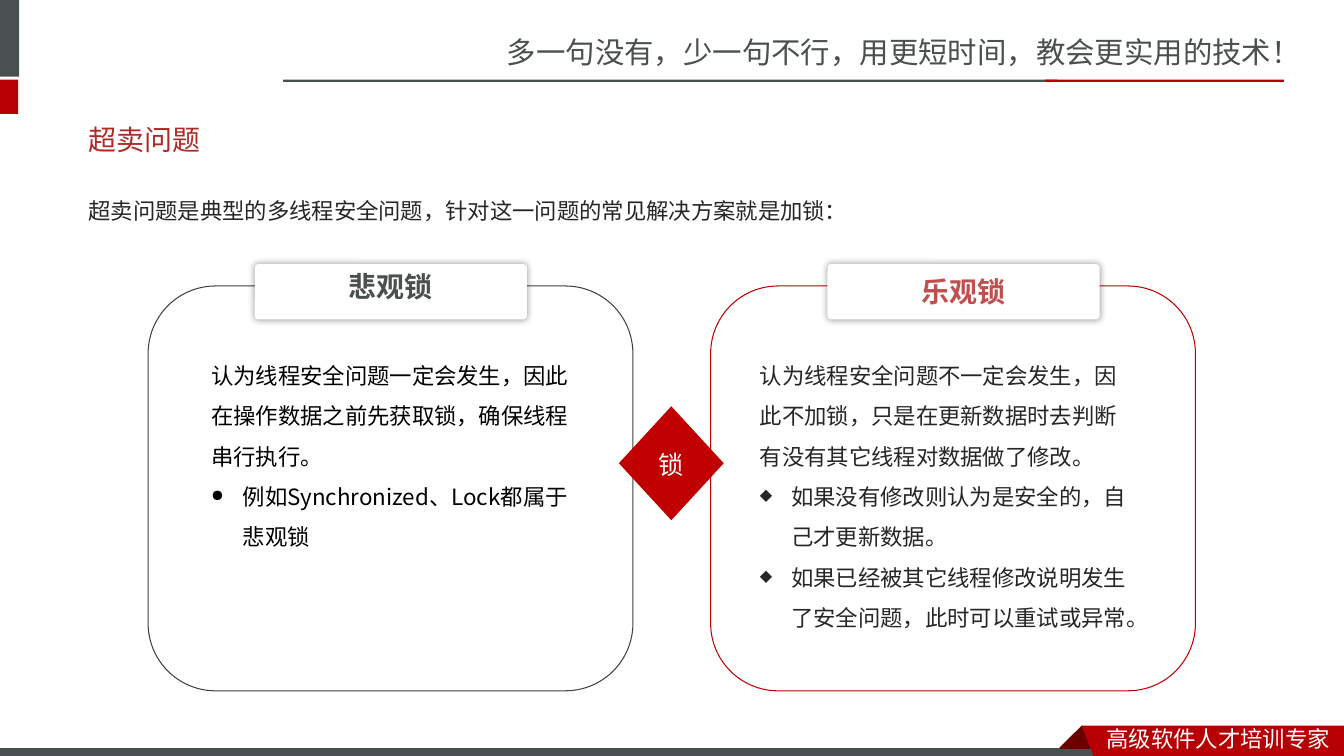
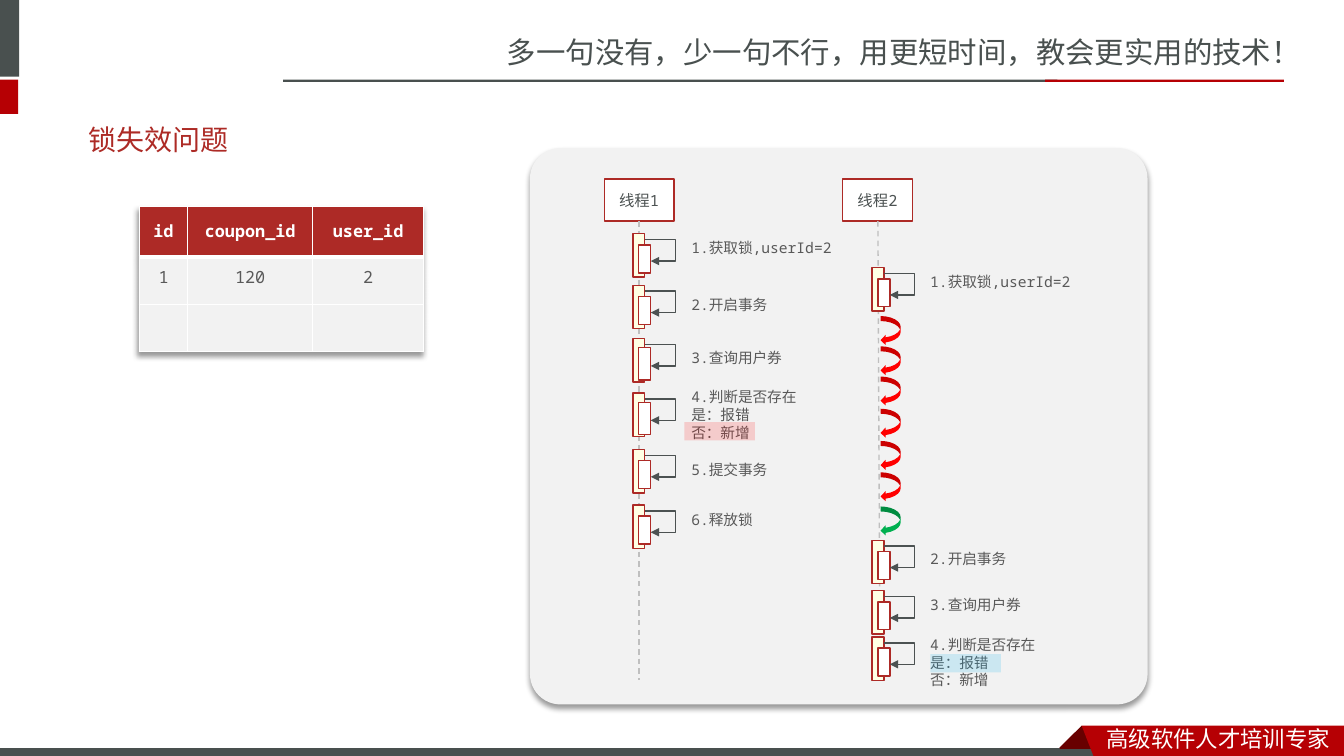
"""Build two slides about overselling and lock failure between threads."""
from dataclasses import dataclass
from itertools import accumulate

from lxml import etree
from pptx import Presentation
from pptx.dml.color import RGBColor
from pptx.enum import dml, shapes, text
from pptx.oxml import ns
from pptx.util import Pt


@dataclass(frozen=True)
class Style:
    """Font, size, colour and weight of one kind of text."""
    font: str
    size: float
    colour: str
    bold: bool = False
    leading: float = 1.2


class Theme:
    """Colours and type styles shared by both slides."""
    white, panel, grey = "FFFFFF", "F2F2F2", "49504F"
    red, dark_red, accent, brick = "B60004", "680000", "C00000", "AD2A26"
    cream, arrow, dashes, outline = "FFFFE4", "4C5252", "BFBFBF", "404040"
    waiting, granted, sky = "FF0000", "00B050", "00B0F0"
    slogan = Style("Noto Sans CJK SC", 21, grey)
    ribbon = Style("Noto Sans CJK SC", 16, white)
    title = Style("Lato", 20, "AD2B26")
    body = Style("Noto Sans CJK JP", 16, "262626", leading=1.8)
    body_black = Style("Noto Sans CJK JP", 16, "000000", leading=1.8)
    plate_grey = Style("Noto Sans CJK JP", 20, grey, True)
    plate_red = Style("Noto Sans CJK JP", 20, "C0504D", True)
    diamond = Style("Noto Sans CJK JP", 18, white, leading=1.28)
    thread = Style("Noto Sans Mono", 11, arrow)
    step = Style("Noto Sans Mono", 10.5, "595959")
    table_head = Style("Noto Sans Mono", 12, white, True, leading=1.28)
    table_cell = Style("Noto Sans Mono", 12, "595959")


SLOGAN = "多一句没有，少一句不行，用更短时间，教会更实用的技术！"
RIBBON = "高级软件人才培训专家"
BARS = [
    (-4.3, 0, 18, 54.7, Theme.grey, None),
    (-4.3, 56.9, 17.3, 24.5, Theme.red, None),
    (202.3, 56.9, 553, 1.6, Theme.grey, None),
    (746.6, 56.9, 170.6, 1.6, Theme.red, None),
    (-0.7, 533.8, 792, 8.6, Theme.grey, (Theme.white, 0.75)),
]
RIBBON_FOLD = [(772.6, 518.4), (788.4, 534.2), (787.7, 535), (757.4, 535), (756.7, 534.2)]
RIBBON_FACE = [(772.6, 518.4), (960, 518.4), (960, 542.9), (781.9, 542.2)]

INTRO = "超卖问题是典型的多线程安全问题，针对这一问题的常见解决方案就是加锁："
CARDS = [
    dict(name="悲观锁", left=105.8, plate=182, plate_inset=3.2, text_left=143.8,
         line=Theme.outline, name_style=Theme.plate_grey, style=Theme.body_black,
         claim="认为线程安全问题一定会发生，因此在操作数据之前先获取锁，确保线程串行执行。",
         bullet="●", points=["例如Synchronized、Lock都属于悲观锁"]),
    dict(name="乐观锁", left=507.6, plate=591.1, plate_inset=6.8, text_left=535.7,
         line=Theme.accent, name_style=Theme.plate_red, style=Theme.body,
         claim="认为线程安全问题不一定会发生，因此不加锁，只是在更新数据时去判断有没有其它线程对数据做了修改。",
         bullet="◆", points=["如果没有修改则认为是安全的，自己才更新数据。",
                            "如果已经被其它线程修改说明发生了安全问题，此时可以重试或异常。"]),
]

COUPON_FIELDS = ("id", "coupon_id", "user_id")
COUPON = ("1", "120", "2")
COUPON_LEFT = 99.5
COLUMN_WIDTHS = (34.6, 89.3, 79.2)
ROW_HEIGHTS = (36, 33.7, 33.7)

LOCK, BEGIN, QUERY = "1.获取锁,userId=2", "2.开启事务", "3.查询用户券"
CHECK = ["4.判断是否存在", "是：报错", "否：新增"]
SHORT, TALL = (8, 20), (6.5, 23)
THREADS = [
    dict(name="线程1", head=431.6, life=(456.5, 456.5), bar=452, label=486.7, label_width=118,
         steps=[(167, 167.2, SHORT, [LOCK]), (203.8, 207.8, SHORT, [BEGIN]),
                (241.9, 245.6, TALL, [QUERY]), (280.8, 273.8, TALL, CHECK),
                (321.1, 325.6, SHORT, ["5.提交事务"]), (360.7, 361.6, SHORT, ["6.释放锁"])]),
    dict(name="线程2", head=601.9, life=(627.1, 628.6), bar=622.8, label=657.4, label_width=158,
         steps=[(191.2, 191.3, SHORT, [LOCK]), (385.9, 389.3, SHORT, [BEGIN]),
                (421.9, 422.1, SHORT, [QUERY]), (455, 450.5, SHORT, CHECK)]),
]
RETRIES = [(229, Theme.waiting), (250.6, Theme.waiting), (272.2, Theme.waiting),
           (295.2, Theme.waiting), (318.2, Theme.waiting), (340.6, Theme.waiting),
           (365, Theme.granted)]
OUTCOMES = [(488.9, 301.5, Theme.waiting), (664.6, 467.3, Theme.sky)]

KIND = shapes.MSO_SHAPE
CENTER, LEFT = text.PP_ALIGN.CENTER, text.PP_ALIGN.LEFT
MIDDLE, TOP = text.MSO_ANCHOR.MIDDLE, text.MSO_ANCHOR.TOP


def points(*values):
    """Turn numbers into point lengths."""
    return [Pt(value) for value in values]


def add_xml(parent, tag, **attributes):
    """Append one DrawingML element."""
    return etree.SubElement(parent, ns.qn("a:" + tag), {k: str(v) for k, v in attributes.items()})


def write(frame, lines, style, align=LEFT, anchor=TOP):
    """Set the lines of a text frame and format their runs."""
    frame.word_wrap = True
    frame.vertical_anchor = anchor
    frame.text = "\n".join(lines)
    for paragraph in frame.paragraphs:
        paragraph.alignment = align
        paragraph.line_spacing = Pt(style.size * style.leading)
        for run in paragraph.runs:
            run.font.size, run.font.bold = Pt(style.size), style.bold
            run.font.color.rgb = RGBColor.from_string(style.colour)
            run.font.name = style.font
            add_xml(run.font._element, "ea", typeface=style.font)


def add_text(slide, box, lines, style, **options):
    """Add a wrapping text box."""
    label = slide.shapes.add_textbox(*points(*box))
    write(label.text_frame, lines, style, **options)
    return label


def paint(shape, fill=None, line=None):
    """Give a shape a flat fill and outline."""
    shape.shadow.inherit = False
    if fill:
        shape.fill.solid()
        shape.fill.fore_color.rgb = RGBColor.from_string(fill)
    else:
        shape.fill.background()
    if line:
        shape.line.color.rgb = RGBColor.from_string(line[0])
        shape.line.width = Pt(line[1])
    else:
        shape.line.fill.background()
    return shape


def add_block(slide, box, fill=None, line=None, kind=KIND.RECTANGLE, corner=None):
    """Add a preset shape."""
    block = slide.shapes.add_shape(kind, *points(*box))
    if corner is not None:
        block.adjustments[0] = corner
    return paint(block, fill, line)


def add_outline(slide, corners, fill):
    """Add a closed polygon."""
    start, *rest = [points(*corner) for corner in corners]
    builder = slide.shapes.build_freeform(*start)
    builder.add_line_segments(rest, close=True)
    return paint(builder.convert_to_shape(), fill)


def cast_shadow(effects, blur, distance, angle):
    """Put a soft black shadow in an effect list."""
    shadow = add_xml(effects, "outerShdw", blurRad=Pt(blur), dist=Pt(distance),
                     dir=angle * 60000, algn="ctr", rotWithShape=0)
    add_xml(add_xml(shadow, "srgbClr", val="000000"), "alpha", val=40000)


def add_line(slide, kind, ends, colour):
    """Add a one-point connector without a shadow."""
    line = slide.shapes.add_connector(kind, *points(*ends))
    line.line.color.rgb = RGBColor.from_string(colour)
    line.line.width = Pt(1)
    add_xml(line.element.spPr, "effectLst")
    return line


def add_self_call(slide, left, top):
    """Add an arrow that leaves to the right and turns back."""
    call = add_line(slide, shapes.MSO_CONNECTOR.ELBOW, (left, top, left + 4, top + 15.3),
                    Theme.arrow)
    properties = call.element.spPr
    add_xml(properties.find(".//" + ns.qn("a:avLst")), "gd", name="adj1", fmla="val 545000")
    add_xml(properties.find(ns.qn("a:ln")), "tailEnd", type="triangle")


def furnish(layout, slide):
    """Move the shared bands, slogan and ribbon onto the layout."""
    for placeholder in list(layout.placeholders)[1:]:
        layout.shapes.element.remove(placeholder.element)
    parts = [add_text(slide, (355, 20.6, 605.5, 33.8), [SLOGAN], Theme.slogan)]
    parts += [add_block(slide, bar[:4], *bar[4:]) for bar in BARS]
    parts.append(add_outline(slide, RIBBON_FOLD, Theme.dark_red))
    parts.append(add_outline(slide, RIBBON_FACE, Theme.red))
    parts.append(add_text(slide, (783.4, 514.4, 177, 26.6), [RIBBON], Theme.ribbon))
    for part in parts:
        layout.shapes.element.append(part.element)


def add_slide(deck, heading):
    """Add a title-only slide with its heading."""
    slide = deck.slides.add_slide(deck.slide_layouts[5])
    title = slide.shapes.title
    title.left, title.top, title.width, title.height = points(56.2, 83.3, 842.4, 31.7)
    write(title.text_frame, [heading], Theme.title, anchor=MIDDLE)
    return slide


def add_card(slide, card):
    """Add one lock card with its name plate and text."""
    add_block(slide, (card["left"], 204.3, 346.3, 289.2), line=(card["line"], 0.75),
              kind=KIND.ROUNDED_RECTANGLE)
    plate = add_block(slide, (card["plate"], 188.6, 194.4, 39.6), Theme.white,
                      kind=KIND.ROUNDED_RECTANGLE, corner=0.07)
    cast_shadow(plate.element.spPr.find(ns.qn("a:effectLst")), 5, 0, 0)
    plate.text_frame.margin_top = Pt(card["plate_inset"])
    write(plate.text_frame, [card["name"]], card["name_style"], align=CENTER)
    story = add_text(slide, (card["text_left"], 245.6, 283.7, 208),
                     [card["claim"], *card["points"]], card["style"])
    for paragraph in story.text_frame.paragraphs[1:]:
        properties = paragraph._p.get_or_add_pPr()
        properties.set("marL", str(Pt(22.5)))
        properties.set("indent", str(-Pt(22.5)))
        add_xml(properties, "buSzPct", val=72000)
        add_xml(properties, "buChar", char=card["bullet"])


def add_coupons(slide):
    """Add the coupon table with its one record laid over it."""
    frame = slide.shapes.add_table(len(ROW_HEIGHTS), len(COLUMN_WIDTHS), *points(
        COUPON_LEFT, 147.6, sum(COLUMN_WIDTHS), sum(ROW_HEIGHTS)))
    coupons = frame.table
    effects = etree.Element(ns.qn("a:effectLst"))
    cast_shadow(effects, 4, 3, 110)
    coupons._tbl.tblPr.insert(0, effects)
    for r, height in enumerate(ROW_HEIGHTS):
        coupons.rows[r].height = Pt(height)
        for c, field in enumerate(COUPON_FIELDS):
            cell = coupons.cell(r, c)
            if r == 0:
                write(cell.text_frame, [field], Theme.table_head, align=CENTER)
                cell.vertical_anchor = MIDDLE
            properties = cell._tc.get_or_add_tcPr()
            for side in ("lnL", "lnR", "lnT", "lnB"):
                heavy = (r, side) in ((0, "lnB"), (1, "lnT"))
                border = add_xml(properties, side, w=Pt(3 if heavy else 1))
                add_xml(add_xml(border, "solidFill"), "srgbClr", val=Theme.white)
            cell.fill.solid()
            cell.fill.fore_color.rgb = RGBColor.from_string(Theme.panel if r else Theme.brick)
    lefts = accumulate(COLUMN_WIDTHS, initial=COUPON_LEFT)
    for column, left, width, value in zip(coupons.columns, lefts, COLUMN_WIDTHS, COUPON):
        column.width = Pt(width)
        add_text(slide, (left, 187.2, width, 21.6), [value], Theme.table_cell, align=CENTER)


def add_thread(slide, thread):
    """Add one lifeline with its activations and step labels."""
    edge = (Theme.brick, 1)
    head = add_block(slide, (thread["head"], 127.9, 49.9, 30), Theme.white, edge)
    write(head.text_frame, [thread["name"]], Theme.thread, align=CENTER, anchor=MIDDLE)
    start, end = thread["life"]
    life = add_line(slide, shapes.MSO_CONNECTOR.STRAIGHT, (start, 158, end, 486), Theme.dashes)
    life.line.dash_style = dml.MSO_LINE.DASH
    bar = thread["bar"]
    for top, label_top, (drop, height), lines in thread["steps"]:
        add_block(slide, (bar, top, 8.6, 31), Theme.cream, edge)
        add_block(slide, (bar + 4.3, top + drop, 8.6, height), Theme.white, edge)
        add_self_call(slide, bar + 8.8, top + 4.2)
        add_text(slide, (thread["label"], label_top, thread["label_width"], 7.2 + 13 * len(lines)),
                 lines, Theme.step)


def main():
    """Build and save the deck."""
    deck = Presentation()
    deck.slide_width, deck.slide_height = points(960, 540)

    oversell = add_slide(deck, "超卖问题")
    furnish(deck.slide_layouts[5], oversell)
    add_text(oversell, (56.2, 127.6, 842.4, 52.6), [INTRO], Theme.body)
    for card in CARDS:
        add_card(oversell, card)
    lock = add_block(oversell, (442.1, 290.2, 74.9, 81.4), Theme.accent, kind=KIND.DIAMOND)
    write(lock.text_frame, ["锁"], Theme.diamond, align=CENTER, anchor=MIDDLE)

    failure = add_slide(deck, "锁失效问题")
    panel = add_block(failure, (378.5, 105.8, 441.2, 397.4), Theme.panel,
                      kind=KIND.ROUNDED_RECTANGLE, corner=0.055)
    cast_shadow(panel.element.spPr.find(ns.qn("a:effectLst")), 4, 3, 90)
    add_coupons(failure)
    for thread in THREADS:
        add_thread(failure, thread)
    for top, colour in RETRIES:
        retry = add_block(failure, (625.7, top, 20.9, 14.4), colour, kind=KIND.CURVED_DOWN_ARROW)
        retry.rotation = 90
    for left, top, colour in OUTCOMES:
        outcome = add_block(failure, (left, top, 50.4, 13), colour)
        tint = outcome.element.spPr.find(ns.qn("a:solidFill"))[0]
        add_xml(tint, "alpha", val=16000)
    deck.save("out.pptx")


if __name__ == "__main__":
    main()
